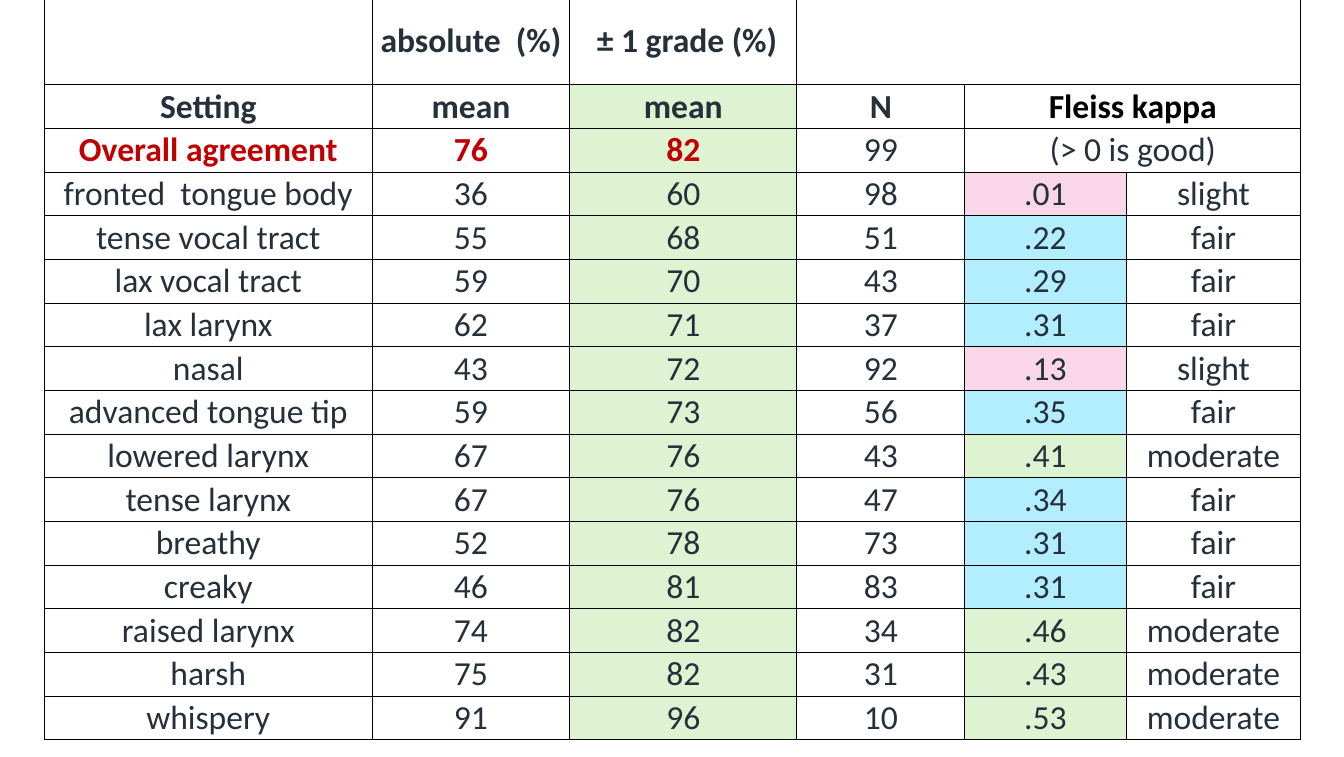
from lxml.etree import SubElement
from pptx import Presentation
from pptx.dml.color import RGBColor
from pptx.enum.text import MSO_ANCHOR, PP_ALIGN
from pptx.oxml.ns import qn
from pptx.util import Inches, Pt

INK, BLACK, RED = "25303B", "000000", "C00000"
GREEN = "DDF3D2"
GRADE_FILLS = {"slight": "F9D7E8", "fair": "B2EEFF", "moderate": GREEN}
COLUMN_WIDTHS = [2.44, 1.47, 1.69, 1.25, 1.2, 1.3]
HEADER_HEIGHT, ROW_HEIGHT = 0.65, 0.325
SETTING, ABSOLUTE, WITHIN_ONE, COUNT, KAPPA, GRADE = range(6)
HEADER, TITLES, OVERALL = range(3)
ROWS = [
    ("", "absolute  (%)", " ± 1 grade (%)", "", "", ""),
    ("Setting", "mean", "mean", "N", "Fleiss kappa", ""),
    ("Overall agreement", "76", "82", "99", "(> 0 is good)", ""),
    ("fronted  tongue body", "36", "60", "98", ".01", "slight"),
    ("tense vocal tract", "55", "68", "51", ".22", "fair"),
    ("lax vocal tract", "59", "70", "43", ".29", "fair"),
    ("lax larynx", "62", "71", "37", ".31", "fair"),
    ("nasal", "43", "72", "92", ".13", "slight"),
    ("advanced tongue tip", "59", "73", "56", ".35", "fair"),
    ("lowered larynx", "67", "76", "43", ".41", "moderate"),
    ("tense larynx", "67", "76", "47", ".34", "fair"),
    ("breathy", "52", "78", "73", ".31", "fair"),
    ("creaky", "46", "81", "83", ".31", "fair"),
    ("raised larynx", "74", "82", "34", ".46", "moderate"),
    ("harsh", "75", "82", "31", ".43", "moderate"),
    ("whispery", "91", "96", "10", ".53", "moderate"),
]


def color(code):
    """Turn a hex string into a colour."""
    return RGBColor.from_string(code)


def text_style(row, column):
    """Return the text colour and weight of a cell."""
    if row == OVERALL and column < COUNT:
        return RED, True
    if row == TITLES and column == KAPPA:
        return BLACK, True
    return INK, row < OVERALL


def fill_code(row, column):
    """Return the fill of a cell, or None where it is clear."""
    if column == WITHIN_ONE and row > HEADER:
        return GREEN
    if column == KAPPA:
        return GRADE_FILLS.get(ROWS[row][GRADE])
    return None


def add_borders(cell):
    """Draw a thin black line on each side of a cell."""
    properties = cell._tc.get_or_add_tcPr()
    for side in ("a:lnL", "a:lnR", "a:lnT", "a:lnB"):
        line = SubElement(properties, qn(side), w=str(Pt(0.5)))
        SubElement(SubElement(line, qn("a:solidFill")), qn("a:srgbClr"), val=BLACK)


def style_cell(cell, row, column):
    """Write and format one cell."""
    add_borders(cell)
    code = fill_code(row, column)
    if code:
        cell.fill.solid()
        cell.fill.fore_color.rgb = color(code)
    else:
        cell.fill.background()
    cell.margin_left = cell.margin_right = cell.margin_top = cell.margin_bottom = 0
    cell.vertical_anchor = MSO_ANCHOR.MIDDLE
    cell.text = ROWS[row][column]
    para = cell.text_frame.paragraphs[0]
    para.alignment = PP_ALIGN.CENTER
    font = para.font
    font.name, font.size = "Calibri", Pt(18)
    ink, font.bold = text_style(row, column)
    font.color.rgb = color(ink)


def add_agreement_table(page):
    """Add the table of rater agreement by voice setting."""
    height = HEADER_HEIGHT + ROW_HEIGHT * (len(ROWS) - 1)
    table = page.shapes.add_table(
        len(ROWS), len(COLUMN_WIDTHS), Inches(0.33), Inches(-0.02),
        Inches(sum(COLUMN_WIDTHS)), Inches(height)).table
    table.first_row = table.horz_banding = False
    for column, width in zip(table.columns, COLUMN_WIDTHS):
        column.width = Inches(width)
    for index, row in enumerate(table.rows):
        row.height = Inches(ROW_HEIGHT if index else HEADER_HEIGHT)
        for column, cell in enumerate(row.cells):
            style_cell(cell, index, column)
    for row, first in ((HEADER, COUNT), (TITLES, KAPPA), (OVERALL, KAPPA)):
        table.cell(row, first).merge(table.cell(row, GRADE))


def main():
    """Build and save the slide."""
    deck = Presentation()
    deck.slide_width, deck.slide_height = Inches(10), Inches(5.63)
    page = deck.slides.add_slide(deck.slide_layouts[6])
    add_agreement_table(page)
    deck.save("out.pptx")


if __name__ == "__main__":
    main()
